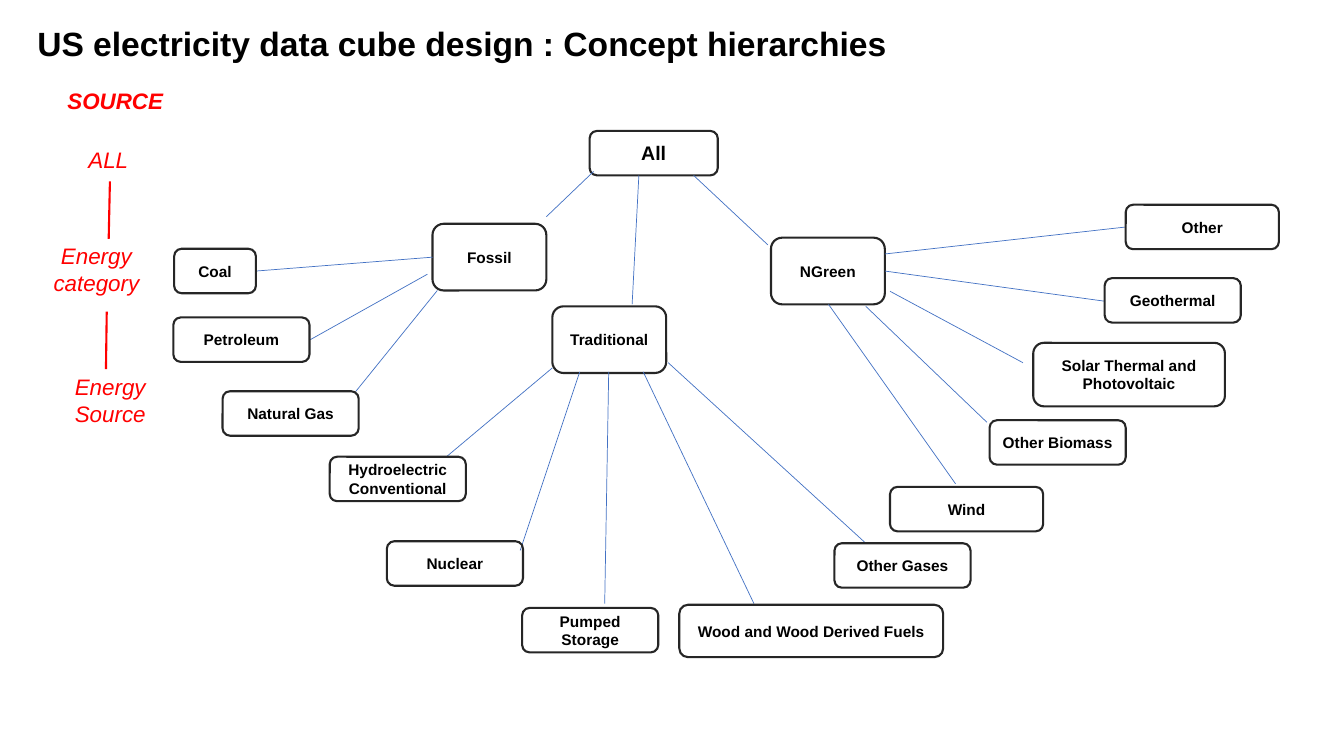
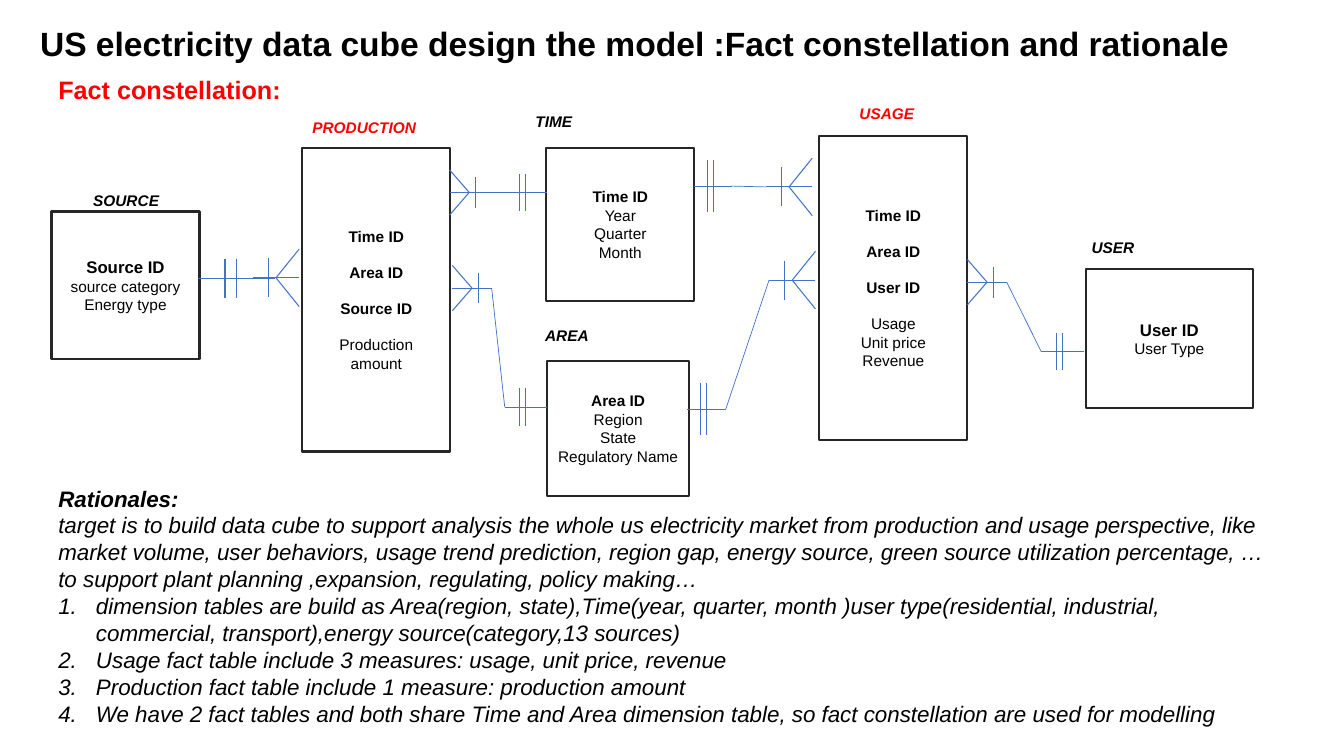
from lxml.etree import SubElement
from pptx import Presentation
from pptx.dml.color import RGBColor
from pptx.enum.shapes import MSO_CONNECTOR, MSO_SHAPE
from pptx.enum.text import MSO_ANCHOR, PP_ALIGN
from pptx.oxml.ns import qn
from pptx.util import Cm, Pt

BLACK = RGBColor(0x00, 0x00, 0x00)
OUTLINE = RGBColor(0x26, 0x26, 0x26)
RED = RGBColor(0xFF, 0x00, 0x00)
BLUE = RGBColor(0x44, 0x72, 0xC4)
FONT = "Arial"
KEY_GAP = 12.65
LEAF_WIDTH, LEAF_HEIGHT = 3.43, 1.12
BRANCH_SIZE = (2.87, 1.68)

# name, (left, top, width, height), link from parent, link to node
NODES = [
    ("All", (10.49, 0, 3.23, LEAF_HEIGHT), None),
    ("Fossil", (6.53, 2.34, *BRANCH_SIZE), (10.59, 1.02, 9.4, 2.16)),
    ("Traditional", (9.55, 4.42, *BRANCH_SIZE), (11.73, 1.12, 11.56, 4.37)),
    ("NGreen", (15.06, 2.69, *BRANCH_SIZE), (13.11, 1.12, 14.98, 2.87)),
    ("Coal", (0.02, 2.97, 2.06, LEAF_HEIGHT), (6.53, 3.18, 2.08, 3.53)),
    ("Petroleum", (0, 4.7, LEAF_WIDTH, LEAF_HEIGHT), (6.4, 3.61, 3.45, 5.26)),
    ("Natural Gas", (1.24, 6.56, LEAF_WIDTH, LEAF_HEIGHT), (6.65, 4.02, 4.6, 6.56)),
    ("Hydroelectric Conventional", (3.94, 8.21, LEAF_WIDTH, LEAF_HEIGHT),
     (9.55, 5.97, 6.88, 8.21)),
    ("Nuclear", (5.38, 10.34, LEAF_WIDTH, LEAF_HEIGHT), (10.24, 6.07, 8.74, 10.57)),
    ("Pumped Storage", (8.79, 12.02, LEAF_WIDTH, LEAF_HEIGHT),
     (10.97, 6.07, 10.87, 11.91)),
    ("Wood and Wood Derived Fuels", (12.75, 11.94, 6.65, 1.32),
     (11.84, 6.07, 14.63, 11.91)),
    ("Other Gases", (16.66, 10.39, LEAF_WIDTH, LEAF_HEIGHT),
     (12.47, 5.84, 17.45, 10.39)),
    ("Wind", (18.06, 8.97, 3.86, LEAF_HEIGHT), (16.51, 4.37, 19.71, 8.89)),
    ("Other Biomass", (20.57, 7.29, LEAF_WIDTH, LEAF_HEIGHT),
     (17.45, 4.42, 20.5, 7.34)),
    ("Solar Thermal and Photovoltaic", (21.67, 5.34, 4.83, 1.6),
     (18.06, 4.04, 21.41, 5.84)),
    ("Geothermal", (23.47, 3.71, LEAF_WIDTH, LEAF_HEIGHT), (17.93, 3.53, 23.47, 4.29)),
    ("Other", (24, 1.86, 3.86, LEAF_HEIGHT), (17.93, 3.1, 24, 2.42)),
]

LEVELS = [
    (["ALL"], 0.3, 1.5),
    (["Energy", "category"], 0, 3.91),
    (["Energy", "Source"], 0.35, 7.21),
]
LEVEL_LINKS = [(2.54, 2.51, 2.51, 3.96), (2.46, 5.79, 2.44, 7.24)]

DIMENSIONS = [
    ("SOURCE", (1.88, 2.2), (0, 2.83, 3.73, 3.71), 12, "Source ID",
     ["source category", "Energy type"]),
    ("TIME", (12.66, 0.19), (12.47, 1.23, 3.73, 3.86), 11, "Time ID",
     ["Year", "Quarter", "Month"]),
    ("AREA", (12.99, 5.6), (12.49, 6.59, 3.58, 3.4), 11, "Area ID",
     ["Region", "State", "Regulatory Name"]),
    ("USER", (26.75, 3.37), (26.06, 4.28, 4.22, 3.51), 12, "User ID", ["User Type"]),
]
FACTS = [
    ("PRODUCTION", (7.88, 0.34), (6.32, 1.23, 3.73, 7.65),
     ["Time ID", "Area ID", "Source ID"], ["Production amount"]),
    ("USAGE", (21.05, 0.01), (19.35, 0.93, 3.73, 7.65),
     ["Time ID", "Area ID", "User ID"], ["Usage", "Unit price", "Revenue"]),
]

RELATIONS = [
    ((3.7, 4.51, 1.93, 0.99, 0.28), (6.24, 4.5, -1.17, 1.45)),
    ((12.49, 2.35, -1.07, 0.94, 0.15), (10.03, 2.35, 0.99, 1.14)),
    ((12.49, 7.76, -1.07, 0.94, 0.15), (10.1, 4.76, 0.99, 1.14)),
    ((16.2, 2.19, 0.94, 1.32, 0.15), (19.17, 2.21, -1.17, 1.45)),
    ((16.02, 7.81, 0.97, 1.32, 0.15), (19.25, 4.56, -1.17, 1.45)),
    ((26.03, 6.36, -1.09, 0.94, 0.15), (23.08, 4.61, 0.99, 1.14)),
]

RATIONALE = (
    "target is to build data cube to support analysis the whole us electricity market "
    "from production and usage perspective, like market volume, user behaviors, usage "
    "trend prediction, region gap, energy source, green source utilization percentage, "
    "… to support plant planning ,expansion, regulating, policy making…"
)
REASONS = [
    "dimension tables are build as Area(region, state),Time(year, quarter, month )user "
    "type(residential, industrial, commercial, transport),energy source(category,13 sources)",
    "Usage fact table include 3 measures: usage, unit price, revenue",
    "Production fact table include 1 measure: production amount",
    "We have 2 fact tables and both share Time and Area dimension table, so fact "
    "constellation are used for modelling",
]


def write(frame, lines, size, color=BLACK, bold=False, italic=False, align=PP_ALIGN.LEFT):
    """Fill a text frame with one paragraph per line and return the paragraphs."""
    frame.word_wrap = True
    frame.text = "\n".join(lines)
    for paragraph in frame.paragraphs:
        paragraph.alignment = align
        font = paragraph.font
        font.name, font.size, font.bold, font.italic = FONT, Pt(size), bold, italic
        font.color.rgb = color
    return frame.paragraphs


def add_text(slide, box, lines, size, **style):
    """Add a text box and return its paragraphs."""
    frame = slide.shapes.add_textbox(*map(Cm, box)).text_frame
    return write(frame, lines, size, **style)


def add_line(slide, origin, ends, color=BLUE, width=0.75):
    """Draw a straight line between two points measured from the origin."""
    left, top = origin
    x1, y1, x2, y2 = ends
    line = slide.shapes.add_connector(
        MSO_CONNECTOR.STRAIGHT, Cm(left + x1), Cm(top + y1), Cm(left + x2), Cm(top + y2))
    line.line.color.rgb = color
    line.line.width = Pt(width)
    SubElement(line._element.spPr, qn("a:effectLst"))


def add_box(slide, origin, box, preset, lines, size=11):
    """Draw an outlined box with bold centred text and return its paragraphs."""
    left, top, width, height = box
    outlined = slide.shapes.add_shape(
        preset, Cm(origin[0] + left), Cm(origin[1] + top), Cm(width), Cm(height))
    outlined.shadow.inherit = False
    outlined.fill.background()
    outlined.line.color.rgb = OUTLINE
    outlined.line.width = Pt(1.5)
    outlined.text_frame.vertical_anchor = MSO_ANCHOR.MIDDLE
    return write(outlined.text_frame, lines, size, bold=True, align=PP_ALIGN.CENTER)


def new_slide(deck, title, left):
    """Add a blank slide with the shared title style."""
    slide = deck.slides.add_slide(deck.slide_layouts[6])
    add_text(slide, (left, 0.46, 33, 1.27), [title], 24, bold=True)
    return slide


def level_legend(slide, origin):
    """Place the red list of hierarchy levels."""
    left, top = origin
    add_text(slide, (left + 1.22, top, 3.15, 0.94), ["SOURCE"], 16,
             color=RED, bold=True, italic=True)
    for lines, x, y in LEVELS:
        add_text(slide, (left + x, top + y, 4.4, 0.94 * len(lines)), lines, 16,
                 color=RED, italic=True, align=PP_ALIGN.CENTER)
    for ends in LEVEL_LINKS:
        add_line(slide, origin, ends, RED, 1.5)


def source_tree(slide, origin):
    """Place the energy source nodes and the links from their parents."""
    for name, box, link in NODES:
        if link:
            add_line(slide, origin, link, width=0.5)
        add_box(slide, origin, box, MSO_SHAPE.ROUNDED_RECTANGLE, [name], 11 if link else 14)


def table_label(slide, origin, center, name, color):
    """Place the name of a table, centred on a point."""
    x, y = center
    add_text(slide, (origin[0] + x - 2, origin[1] + y, 4, 0.74), [name], 11,
             color=color, bold=True, italic=True, align=PP_ALIGN.CENTER)


def entity(slide, origin, box, keys, attributes, key_size=11, key_gap=0):
    """Draw a table box with bold keys above plain attributes."""
    paragraphs = add_box(slide, origin, box, MSO_SHAPE.RECTANGLE, keys + attributes)
    for key in paragraphs[:len(keys)]:
        key.font.size = Pt(key_size)
        key.space_after = Pt(key_gap)
    for attribute in paragraphs[len(keys):]:
        attribute.font.bold = False


def one_end(slide, origin, edge, y, reach, height, gap):
    """Draw the double bar of a single-row end and return the tip of its stem."""
    tip = edge + reach
    middle = min(edge, tip) + 0.42 * abs(reach)
    add_line(slide, origin, (edge, y, tip, y))
    for x in (middle - gap / 2, middle + gap / 2):
        add_line(slide, origin, (x, y - height / 2, x, y + height / 2))
    return tip, y


def many_end(slide, origin, edge, y, reach, height):
    """Draw the crow's foot of a many-row end and return the tip of its stem."""
    tip, apex, tick = (edge + reach * share for share in (1, 0.5, 0.67))
    add_line(slide, origin, (edge, y, tip, y))
    for half in (-height / 2, height / 2):
        add_line(slide, origin, (edge, y + half, apex, y))
    add_line(slide, origin, (tick, y - 0.34 * height, tick, y + 0.34 * height))
    return tip, y


def constellation(slide, origin):
    """Place the fact and dimension tables with their relations."""
    for name, center, box, key_size, key, attributes in DIMENSIONS:
        table_label(slide, origin, center, name, BLACK)
        entity(slide, origin, box, [key], attributes, key_size=key_size)
    for name, center, box, keys, measures in FACTS:
        table_label(slide, origin, center, name, RED)
        entity(slide, origin, box, keys, measures, key_gap=KEY_GAP)
    for one, many in RELATIONS:
        start = one_end(slide, origin, *one)
        add_line(slide, origin, start + many_end(slide, origin, *many), width=0.5)


def rationales(slide, box):
    """Place the rationale text with its numbered reasons."""
    heading, _, *reasons = add_text(
        slide, box, ["Rationales:", RATIONALE, *REASONS], 16, italic=True)
    heading.font.bold = True
    for reason in reasons:
        properties = reason._p.get_or_add_pPr()
        properties.set("marL", str(Cm(0.95)))
        properties.set("indent", str(-Cm(0.95)))
        numbering = SubElement(properties, qn("a:buAutoNum"), type="arabicPeriod")
        properties.find(qn("a:defRPr")).addprevious(numbering)


def hierarchy_slide(deck):
    """Build the concept hierarchy slide."""
    slide = new_slide(deck, "US electricity data cube design : Concept hierarchies", 0.69)
    level_legend(slide, (0.23, 2.06))
    source_tree(slide, (4.37, 3.3))


def model_slide(deck):
    """Build the fact constellation slide."""
    slide = new_slide(
        deck,
        "US electricity data cube design the model :Fact constellation and rationale", 0.76)
    add_text(slide, (1.22, 1.75, 6.63, 1.02), ["Fact constellation:"], 18,
             color=RED, bold=True)
    constellation(slide, (1.3, 2.5))
    rationales(slide, (1.22, 12.09, 30.96, 6.4))


def main():
    """Build and save the deck."""
    deck = Presentation()
    deck.slide_width, deck.slide_height = Cm(33.87), Cm(19.05)
    hierarchy_slide(deck)
    model_slide(deck)
    deck.save("out.pptx")


if __name__ == "__main__":
    main()
